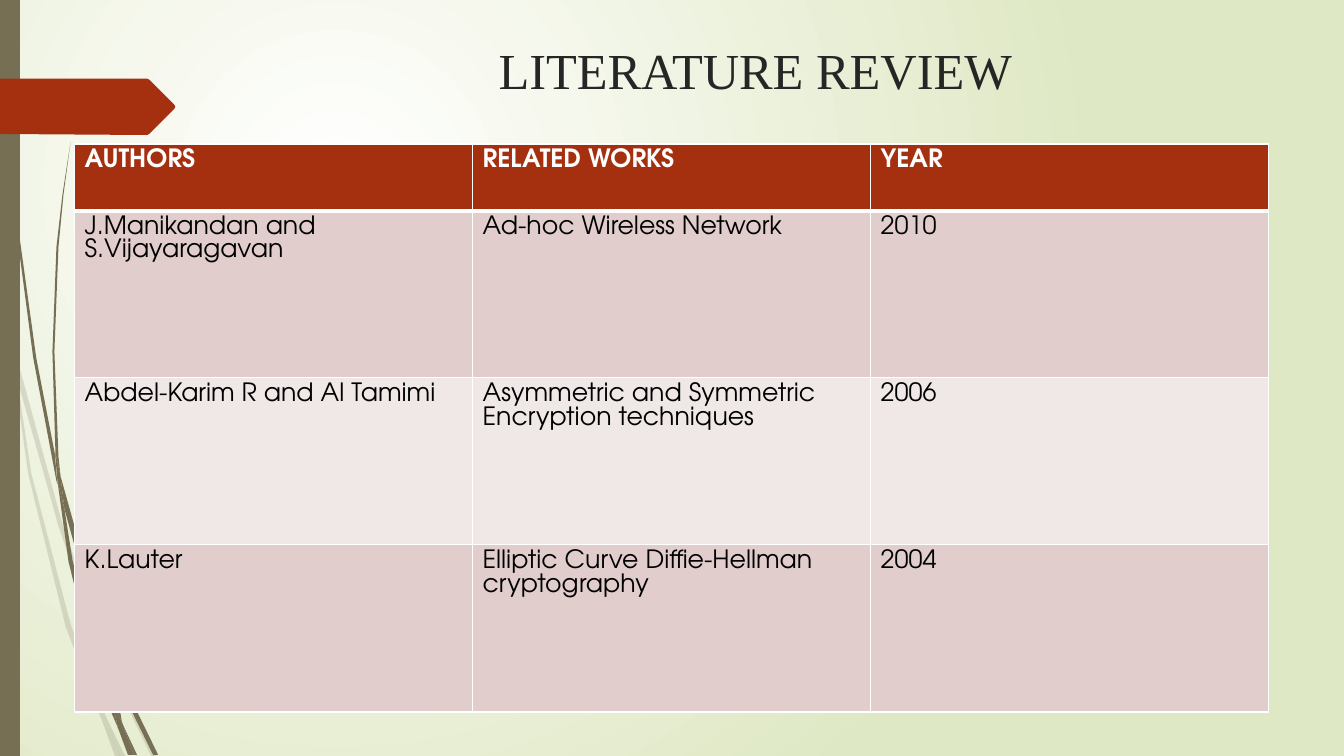
from lxml import etree
from pptx import Presentation
from pptx import util as u
from pptx.dml.color import RGBColor
from pptx.enum import text
from pptx.oxml import ns

WHITE = RGBColor(0xFF, 0xFF, 0xFF)
BLACK = RGBColor(0, 0, 0)
INK = RGBColor(0x26, 0x26, 0x26)
LIME = RGBColor(0xDF, 0xE8, 0xC4)
OLIVE = RGBColor(0x76, 0x6F, 0x54)
RUST = RGBColor(0xA5, 0x30, 0x10)
ROSE = RGBColor(0xE1, 0xCD, 0xCC)
BLUSH = RGBColor(0xF0, 0xE8, 0xE7)

# Outlines are in hundredths of an inch.
UNIT = u.Cm(2.54) / 100

PALE = [
    [(11, 350), (9, 322), (0, 282), (0, 299), (10, 344)],
    [(58, 522), (84, 599), (85, 586), (62, 520), (14, 345), (17, 376)],
    [(92, 607), (88, 596), (88, 610), (123, 694), (150, 750), (155, 750), (127, 692)],
    [(119, 750), (124, 750), (105, 711)],
    [(93, 683), (70, 619), (31, 469), (17, 376), (11, 350), (28, 470), (65, 621),
     (92, 693), (101, 714), (99, 707)],
    [(84, 599), (87, 646), (93, 683), (96, 692), (105, 711), (103, 706), (91, 646),
     (88, 610), (88, 608)],
    [(88, 584), (110, 462), (160, 349), (229, 245), (268, 198), (290, 175), (312, 154),
     (312, 153), (289, 175), (268, 197), (228, 244), (158, 348), (107, 461), (85, 584),
     (85, 586), (88, 596)],
    [(101, 714), (114, 750), (119, 750)],
    [(88, 608), (88, 610), (88, 596), (85, 586), (84, 599)],
    [(96, 692), (93, 683), (99, 707), (101, 714), (119, 750), (105, 711)],
]
DARK = [
    [(7, 110), (17, 233), (33, 355), (56, 477), (57, 481), (55, 457), (55, 453),
     (36, 355), (19, 232), (8, 109), (5, 48), (4, 0), (3, 0), (4, 48)],
    [(88, 592), (106, 645), (106, 633), (106, 631), (93, 590), (60, 472), (64, 505)],
    [(113, 649), (110, 641), (111, 656), (132, 708), (152, 749), (157, 749), (136, 706)],
    [(110, 691), (98, 657), (72, 556), (64, 505), (57, 477), (68, 557), (93, 659),
     (111, 708), (117, 722), (116, 717)],
    [(60, 472), (58, 453), (54, 349), (58, 245), (63, 193), (70, 141), (62, 193),
     (56, 245), (52, 349), (55, 449)],
    [(133, 749), (136, 749), (122, 719)],
    [(57, 477), (64, 505), (60, 472), (55, 449), (55, 453)],
    [(111, 633), (125, 552), (158, 476), (205, 406), (231, 374), (245, 359), (261, 344),
     (260, 344), (245, 358), (231, 373), (204, 405), (156, 474), (122, 551), (106, 631),
     (110, 641)],
    [(117, 722), (127, 749), (131, 749)],
    [(106, 645), (110, 691), (116, 706), (122, 719), (121, 716), (111, 656), (109, 651)],
    [(106, 645), (109, 651), (111, 656), (110, 641), (106, 631), (106, 633)],
    [(116, 706), (110, 691), (116, 717), (117, 722), (130, 749), (133, 749), (122, 719)],
]
BAR = [(0, 0), (20, 0), (20, 750), (0, 750)]
ARROW = [(173, 108), (148, 133), (146, 134), (0, 133), (0, 78), (146, 78), (148, 79),
         (173, 104), (174, 106)]
WORKS = [
    ("AUTHORS", "RELATED WORKS", "YEAR"),
    ("J.Manikandan and S.Vijayaragavan", "Ad-hoc Wireless Network", "2010"),
    ("Abdel-Karim R and Al Tamimi", "Asymmetric and Symmetric Encryption techniques", "2006"),
    ("K.Lauter", "Elliptic Curve Diffie-Hellman cryptography", "2004"),
]


def add(parent, tag, **attrs):
    node = etree.SubElement(parent, ns.qn(tag))
    for key, value in attrs.items():
        node.set(key, str(value))
    return node


class Deck:
    head = "Times New Roman"
    body = "TeX Gyre Adventor"

    def __init__(self, slide):
        self.slide = slide

    def glow(self, inner, outer):
        """Fill the background with a round gradient."""
        fill = self.slide.background.fill
        fill.gradient()
        for stop, color in zip(fill.gradient_stops, (inner, outer)):
            stop.color.rgb = color
        grad = self.slide.element.find(".//" + ns.qn("a:gradFill"))
        grad.remove(grad.find(ns.qn("a:lin")))
        ring = add(grad, "a:path", path="circle")
        add(ring, "a:fillToRect", l=50000, t=50000, r=100000, b=100000)

    def outline(self, points, color, alpha=100):
        pen = self.slide.shapes.build_freeform(*points[0], scale=UNIT)
        pen.add_line_segments(points[1:])
        shape = pen.convert_to_shape()
        shape.shadow.inherit = False
        shape.line.fill.background()
        shape.fill.solid()
        shape.fill.fore_color.rgb = color
        if alpha < 100:
            tint = shape.element.spPr.find(".//" + ns.qn("a:srgbClr"))
            add(tint, "a:alpha", val=alpha * 1000)

    def font(self, para, name, size, color, bold=False):
        font = para.font
        font.name, font.size, font.bold = name, u.Pt(size), bold
        font.color.rgb = color

    def title(self, words, left, top, width, height):
        box = self.slide.shapes.add_textbox(
            u.Cm(left), u.Cm(top), u.Cm(width), u.Cm(height))
        frame = box.text_frame
        frame.word_wrap = True
        frame.vertical_anchor = text.MSO_ANCHOR.MIDDLE
        para = frame.paragraphs[0]
        para.text = words
        para.alignment = text.PP_ALIGN.CENTER
        self.font(para, self.head, 36, INK)

    def border(self, cell, **widths):
        """Draw white cell edges, each width in points."""
        props = cell._tc.get_or_add_tcPr()
        for at, side in enumerate("LRTB"):
            edge = add(props, "a:ln" + side, w=u.Pt(widths.get(side, 1)))
            add(add(edge, "a:solidFill"), "a:srgbClr", val=WHITE)
            props.insert(at, edge)

    def table(self, rows, left, top, width, heights):
        grid = self.slide.shapes.add_table(
            len(rows), len(rows[0]), u.Cm(left), u.Cm(top),
            u.Cm(width), u.Cm(sum(heights))).table
        for r, row in enumerate(rows):
            grid.rows[r].height = u.Cm(heights[r])
            for c, words in enumerate(row):
                cell = grid.cell(r, c)
                cell.fill.solid()
                cell.fill.fore_color.rgb = (RUST, ROSE, BLUSH, ROSE)[r]
                para = cell.text_frame.paragraphs[0]
                para.text = words
                self.font(para, self.body, 18, BLACK if r else WHITE, r == 0)
                self.border(cell, T=3 if r == 1 else 1, B=1 if r else 3)


def main():
    prs = Presentation()
    prs.slide_width, prs.slide_height = u.Cm(33.87), u.Cm(19.05)
    deck = Deck(prs.slides.add_slide(prs.slide_layouts[6]))
    deck.glow(WHITE, LIME)
    for wisp in PALE:
        deck.outline(wisp, OLIVE, alpha=20)
    for wisp in DARK:
        deck.outline(wisp, OLIVE)
    deck.outline(BAR, OLIVE)
    deck.outline(ARROW, RUST)
    deck.title("LITERATURE REVIEW", 6.43, 0.82, 25.22, 1.88)
    deck.table(WORKS, 1.88, 3.63, 30.09, [1.68] + [4.21] * 3)
    prs.save("out.pptx")


if __name__ == "__main__":
    main()
